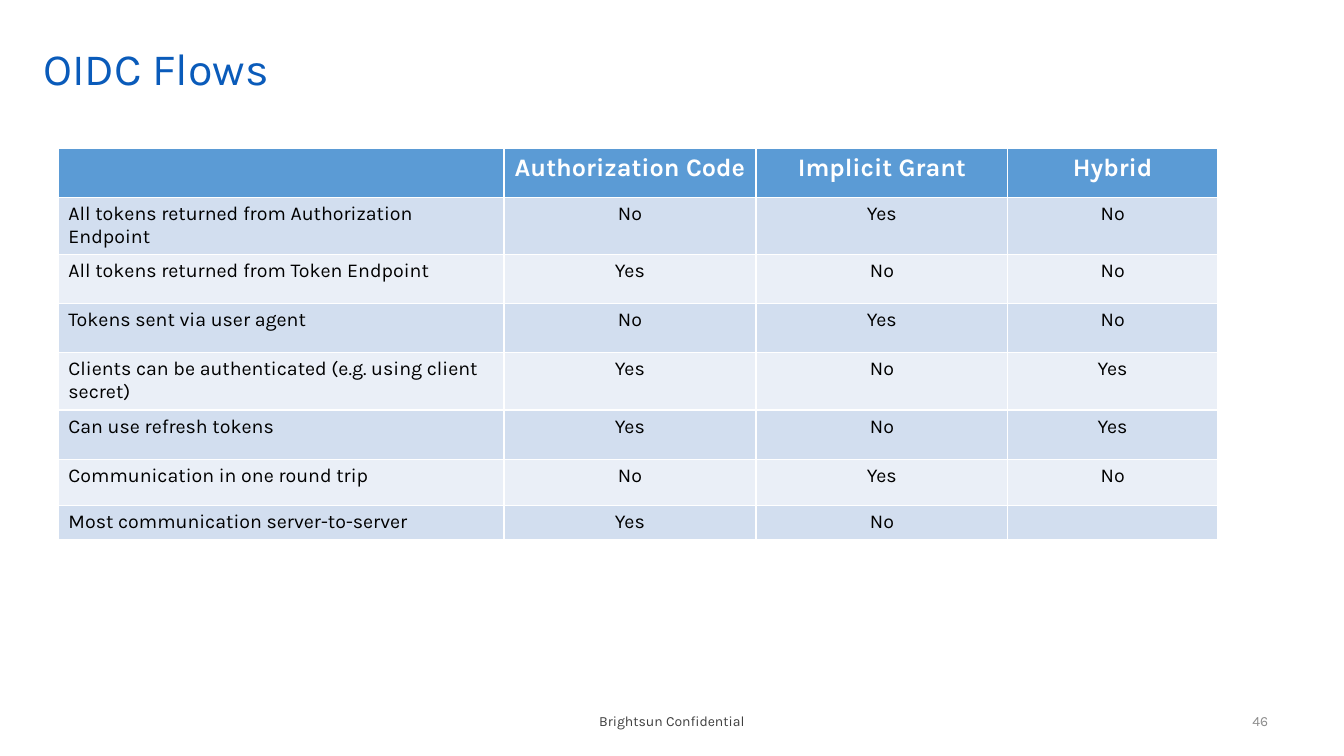
from pptx import Presentation
from pptx import util as u
from pptx.dml.color import RGBColor
from pptx.enum import text

FONT = "Karla"
WHITE = RGBColor(0xFF, 0xFF, 0xFF)
BLACK = RGBColor(0x00, 0x00, 0x00)
TITLE_BLUE = RGBColor(0x0A, 0x5B, 0xBA)
HEADER_BLUE = RGBColor(0x5B, 0x9B, 0xD5)
BANDS = (RGBColor(0xD2, 0xDE, 0xEF), RGBColor(0xEA, 0xEF, 0xF7))
FOOTER_GREY = RGBColor(0x3F, 0x3F, 0x3F)
NUMBER_GREY = RGBColor(0x8C, 0x8C, 0x8C)
LEFT, CENTER, RIGHT = text.PP_ALIGN.LEFT, text.PP_ALIGN.CENTER, text.PP_ALIGN.RIGHT

FLOWS = [
    ("", "Authorization Code", "Implicit Grant", "Hybrid"),
    ("All tokens returned from Authorization Endpoint", "No", "Yes", "No"),
    ("All tokens returned from Token Endpoint", "Yes", "No", "No"),
    ("Tokens sent via user agent", "No", "Yes", "No"),
    ("Clients can be authenticated (e.g. using client secret)", "Yes", "No", "Yes"),
    ("Can use refresh tokens", "Yes", "No", "Yes"),
    ("Communication in one round trip", "No", "Yes", "No"),
    ("Most communication server-to-server", "Yes", "No", ""),
]
COLUMN_WIDTHS = (11.23, 6.35, 6.35, 5.28)
ROW_HEIGHTS = (1.24,) * 6 + (1.17, 0.86)


def style(paragraph, size, color, align, bold=False):
    paragraph.alignment = align
    font = paragraph.font
    font.name, font.size, font.bold = FONT, u.Pt(size), bold
    font.color.rgb = color


def add_line(slide, box, words, size, color, align, inset=0.25):
    """Place one vertically centred line of text in box (cm)."""
    frame = slide.shapes.add_textbox(*map(u.Cm, box)).text_frame
    frame.word_wrap = True
    frame.vertical_anchor = text.MSO_ANCHOR.MIDDLE
    frame.margin_left = frame.margin_right = u.Cm(inset)
    line = frame.paragraphs[0]
    line.text = words
    style(line, size, color, align)
    return line


def add_title(slide, box):
    title = add_line(slide, box, "OIDC Flows", 32, TITLE_BLUE, LEFT)
    title.line_spacing = 0.9


def add_flow_table(slide, box):
    flows = slide.shapes.add_table(len(FLOWS), len(COLUMN_WIDTHS), *map(u.Cm, box)).table
    for column, width in zip(flows.columns, COLUMN_WIDTHS):
        column.width = u.Cm(width)
    for row, height in zip(flows.rows, ROW_HEIGHTS):
        row.height = u.Cm(height)

    for r, answers in enumerate(FLOWS):
        header = r == 0
        for c, answer in enumerate(answers):
            cell = flows.cell(r, c)
            cell.fill.solid()
            cell.fill.fore_color.rgb = HEADER_BLUE if header else BANDS[(r - 1) % 2]
            entry = cell.text_frame.paragraphs[0]
            entry.text = answer
            style(entry, 18 if header else 14, WHITE if header else BLACK,
                  CENTER if c else LEFT, bold=header)


def add_footer(slide, box):
    left, top, width, height = box
    notice_width, number_width = 7.9, 7.62
    notice_left = left + (width - notice_width) / 2
    add_line(slide, (notice_left, top, notice_width, height),
             "Brightsun Confidential", 10, FOOTER_GREY, CENTER, inset=0.5)
    add_line(slide, (left + width - number_width, top, number_width, height),
             "46", 10, NUMBER_GREY, RIGHT)


def main():
    deck = Presentation()
    deck.slide_width, deck.slide_height = u.Cm(33.87), u.Cm(19.05)
    slide = deck.slides.add_slide(deck.slide_layouts[6])
    add_title(slide, (0.84, 0.84, 31.32, 1.9))
    add_flow_table(slide, (1.47, 3.73, sum(COLUMN_WIDTHS), sum(ROW_HEIGHTS)))
    add_footer(slide, (1.65, 17.65, 30.56, 1.02))
    deck.save("out.pptx")


if __name__ == "__main__":
    main()
